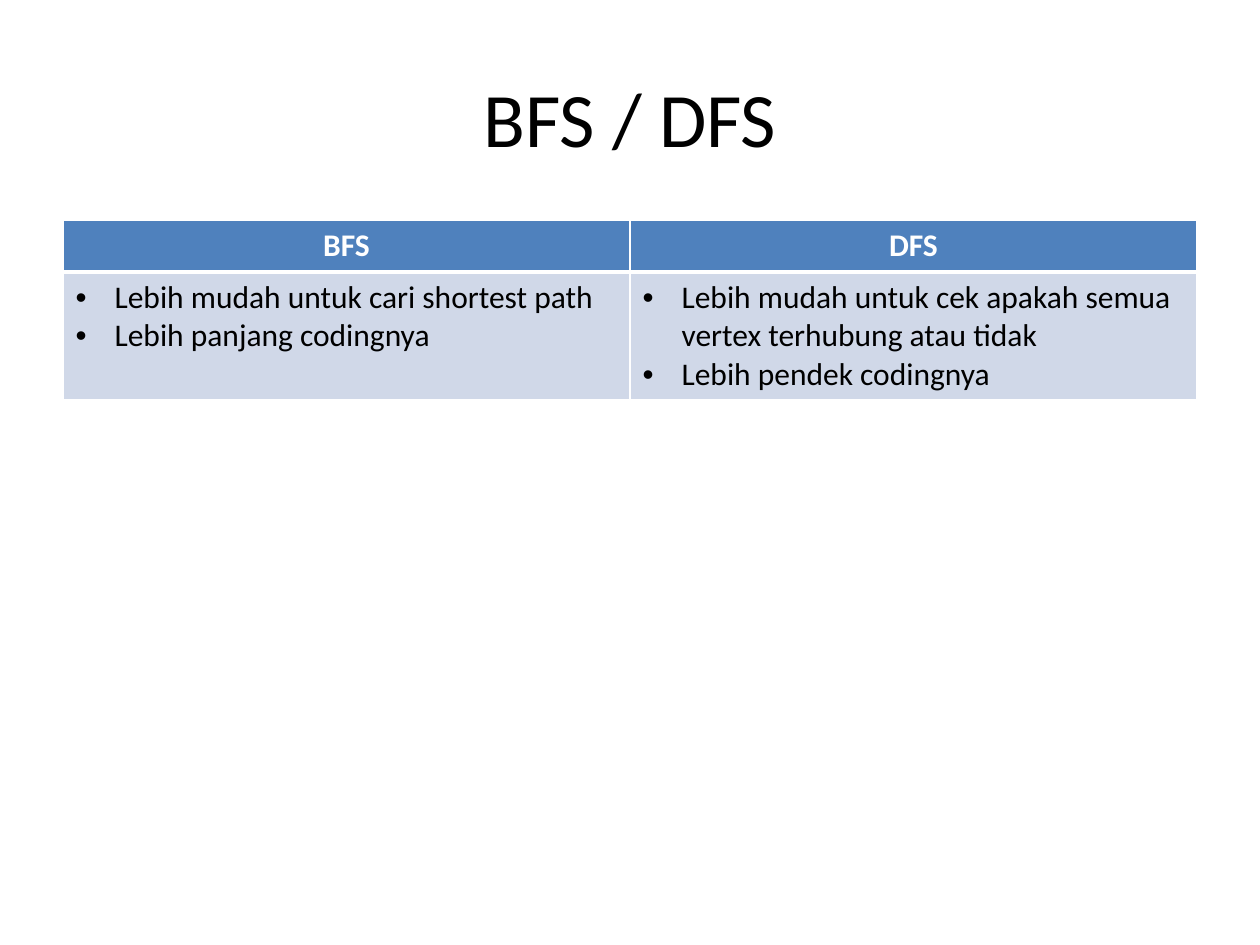
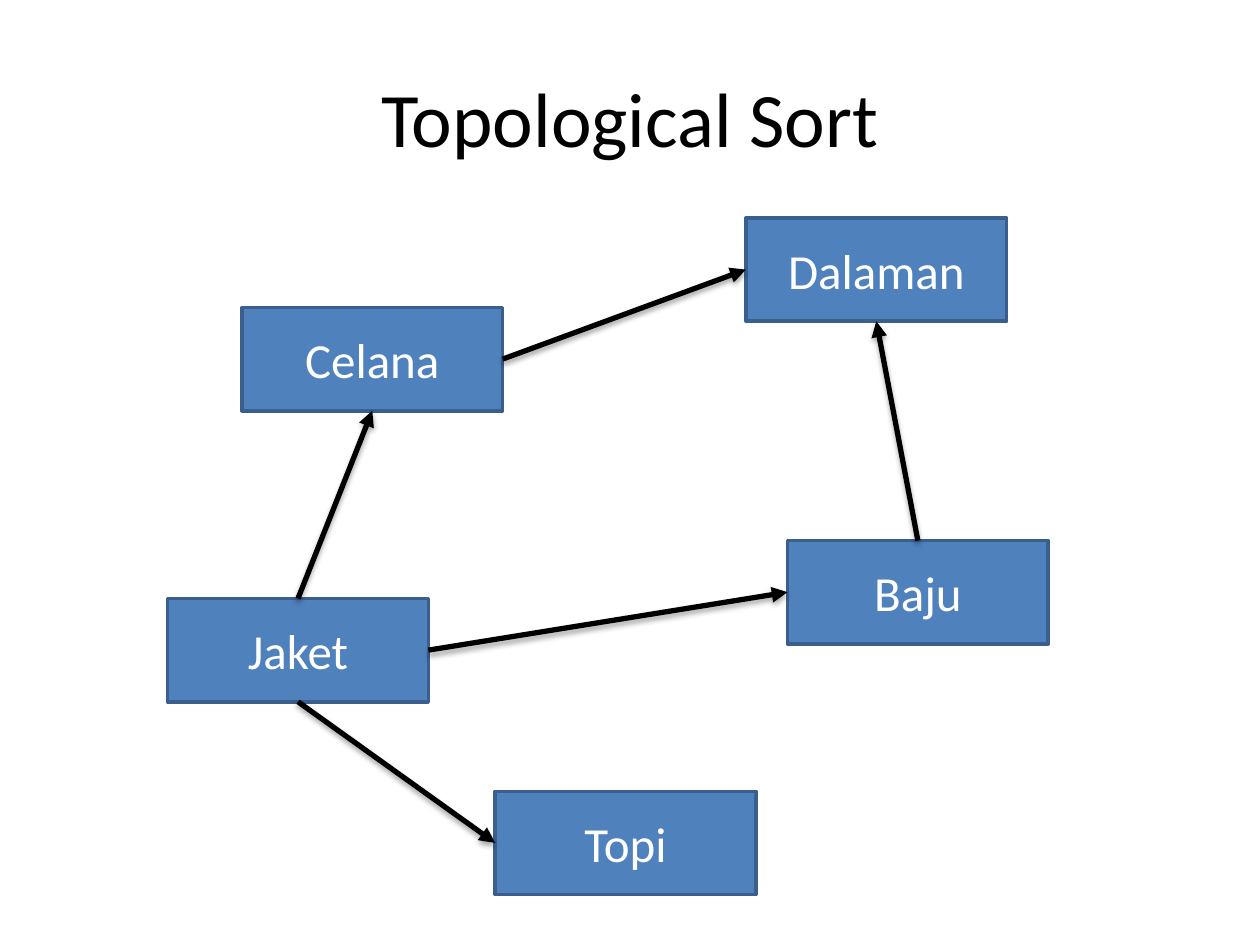
"""Build two slides on graph search and topological sorting."""
from dataclasses import dataclass

import lxml.etree
import pptx
import pptx.dml.color
import pptx.enum.shapes
import pptx.enum.text
import pptx.oxml
import pptx.oxml.ns
import pptx.util
from pptx.util import Inches

FONT = "Calibri"
BLACK, WHITE = "000000", "FFFFFF"
BLUE, DARK_BLUE, PALE_BLUE = "4F81BD", "3A5F8C", "D0D8E8"
TOP, LEFT, BOTTOM, RIGHT = range(4)
BULLET_INDENT = Inches(0.31)


@dataclass(frozen=True)
class Garment:
    """A node of the dressing graph."""
    name: str
    left: float
    top: float


@dataclass(frozen=True)
class Dependency:
    """An arrow between two sides of two garments."""
    start: str
    start_side: int
    end: str
    end_side: int


@dataclass(frozen=True)
class Method:
    """A table column with a heading and its points."""
    name: str
    points: tuple[str, ...]


METHODS = (
    Method("BFS", ("Lebih mudah untuk cari shortest path", "Lebih panjang codingnya")),
    Method("DFS", ("Lebih mudah untuk cek apakah semua vertex terhubung atau tidak",
                   "Lebih pendek codingnya")),
)
GARMENTS = (
    Garment("Baju", 6.25, 4.29),
    Garment("Celana", 1.92, 2.44),
    Garment("Dalaman", 5.92, 1.73),
    Garment("Topi", 3.93, 6.28),
    Garment("Jaket", 1.33, 4.75),
)
DEPENDENCIES = (
    Dependency("Baju", TOP, "Dalaman", BOTTOM),
    Dependency("Celana", RIGHT, "Dalaman", LEFT),
    Dependency("Jaket", TOP, "Celana", BOTTOM),
    Dependency("Jaket", RIGHT, "Baju", LEFT),
    Dependency("Jaket", BOTTOM, "Topi", LEFT),
)


def paint(target, colour: str) -> None:
    """Give a fill one solid colour."""
    target.solid()
    target.fore_color.rgb = pptx.dml.color.RGBColor.from_string(colour)


def style(paragraph, size: int, colour: str, bold: bool = False, centred: bool = True) -> None:
    """Set the font and alignment of a paragraph."""
    font = paragraph.font
    font.name, font.size, font.bold = FONT, pptx.util.Pt(size), bold
    paint(font.fill, colour)
    align = pptx.enum.text.PP_ALIGN
    paragraph.alignment = align.CENTER if centred else align.LEFT


def add_child(parent, tag: str, **attributes: str):
    """Append a drawing element and return it."""
    child = lxml.etree.SubElement(parent, pptx.oxml.ns.qn(tag))
    for name, value in attributes.items():
        child.set(name, value)
    return child


def add_titled_slide(deck, title: str):
    """Add a title-only slide with the shared title style."""
    slide = deck.slides.add_slide(deck.slide_layouts[5])
    box = slide.shapes.title
    box.left, box.top = Inches(0.5), Inches(0.3)
    box.width, box.height = Inches(9), Inches(1.25)
    box.text_frame.text = title
    box.text_frame.vertical_anchor = pptx.enum.text.MSO_ANCHOR.MIDDLE
    style(box.text_frame.paragraphs[0], 44, BLACK)
    return slide


def format_cell(cell, fill: str, top: int, bottom: int) -> None:
    """Set white borders, with widths in points, and the fill of a cell."""
    properties = cell._tc.get_or_add_tcPr()
    for side, width in (("L", 1), ("R", 1), ("T", top), ("B", bottom)):
        line = add_child(properties, f"a:ln{side}", w=str(pptx.util.Pt(width)))
        add_child(add_child(line, "a:solidFill"), "a:srgbClr", val=WHITE)
    paint(cell.fill, fill)


def add_bullet(paragraph) -> None:
    """Give a paragraph a hanging round bullet."""
    properties = paragraph._p.get_or_add_pPr()
    properties.set("marL", str(BULLET_INDENT))
    properties.set("indent", str(-BULLET_INDENT))
    add_child(properties, "a:buFont", typeface="Arial")
    add_child(properties, "a:buChar", char="•")


def add_comparison(slide, methods: tuple[Method, ...]) -> None:
    """Add the table that compares the methods."""
    table = slide.shapes.add_table(
        2, len(methods), Inches(0.5), Inches(1.75), Inches(9), Inches(1.41)).table
    table.rows[0].height, table.rows[1].height = Inches(0.41), Inches(1)
    for column, method in enumerate(methods):
        heading, body = table.cell(0, column), table.cell(1, column)
        format_cell(heading, BLUE, 1, 3)
        format_cell(body, PALE_BLUE, 3, 1)
        heading.text = method.name
        style(heading.text_frame.paragraphs[0], 18, WHITE, bold=True)
        body.text = "\n".join(method.points)
        for paragraph in body.text_frame.paragraphs:
            add_bullet(paragraph)
            style(paragraph, 18, BLACK, centred=False)


def add_garment(slide, garment: Garment):
    """Draw a garment as a labelled box and return the box."""
    box = slide.shapes.add_shape(
        pptx.enum.shapes.MSO_SHAPE.RECTANGLE,
        Inches(garment.left), Inches(garment.top), Inches(2.07), Inches(0.82))
    box.shadow.inherit = False
    paint(box.fill, BLUE)
    paint(box.line.fill, DARK_BLUE)
    box.line.width = pptx.util.Pt(2)
    box.text_frame.text = garment.name
    box.text_frame.vertical_anchor = pptx.enum.text.MSO_ANCHOR.MIDDLE
    style(box.text_frame.paragraphs[0], 28, WHITE)
    return box


def add_dependency(slide, boxes: dict, dependency: Dependency) -> None:
    """Draw a shadowed arrow glued to two boxes."""
    arrow = slide.shapes.add_connector(pptx.enum.shapes.MSO_CONNECTOR.STRAIGHT, 0, 0, 0, 0)
    arrow.begin_connect(boxes[dependency.start], dependency.start_side)
    arrow.end_connect(boxes[dependency.end], dependency.end_side)
    paint(arrow.line.fill, BLACK)
    arrow.line.width = pptx.util.Pt(3)
    add_child(arrow.line._get_or_add_ln(), "a:tailEnd", type="triangle")
    effects = add_child(arrow._element.spPr, "a:effectLst")
    shadow = add_child(effects, "a:outerShdw", blurRad=str(pptx.util.Pt(3.1)),
                       dist=str(pptx.util.Pt(1.8)), dir="5400000", rotWithShape="0")
    add_child(add_child(shadow, "a:srgbClr", val=BLACK), "a:alpha", val="35000")


def main() -> None:
    """Build and save the deck."""
    deck = pptx.Presentation()
    deck.slide_width, deck.slide_height = Inches(10), Inches(7.5)
    add_comparison(add_titled_slide(deck, "BFS / DFS"), METHODS)
    graph = add_titled_slide(deck, "Topological Sort")
    boxes = {garment.name: add_garment(graph, garment) for garment in GARMENTS}
    for dependency in DEPENDENCIES:
        add_dependency(graph, boxes, dependency)
    deck.save("out.pptx")


if __name__ == "__main__":
    main()
